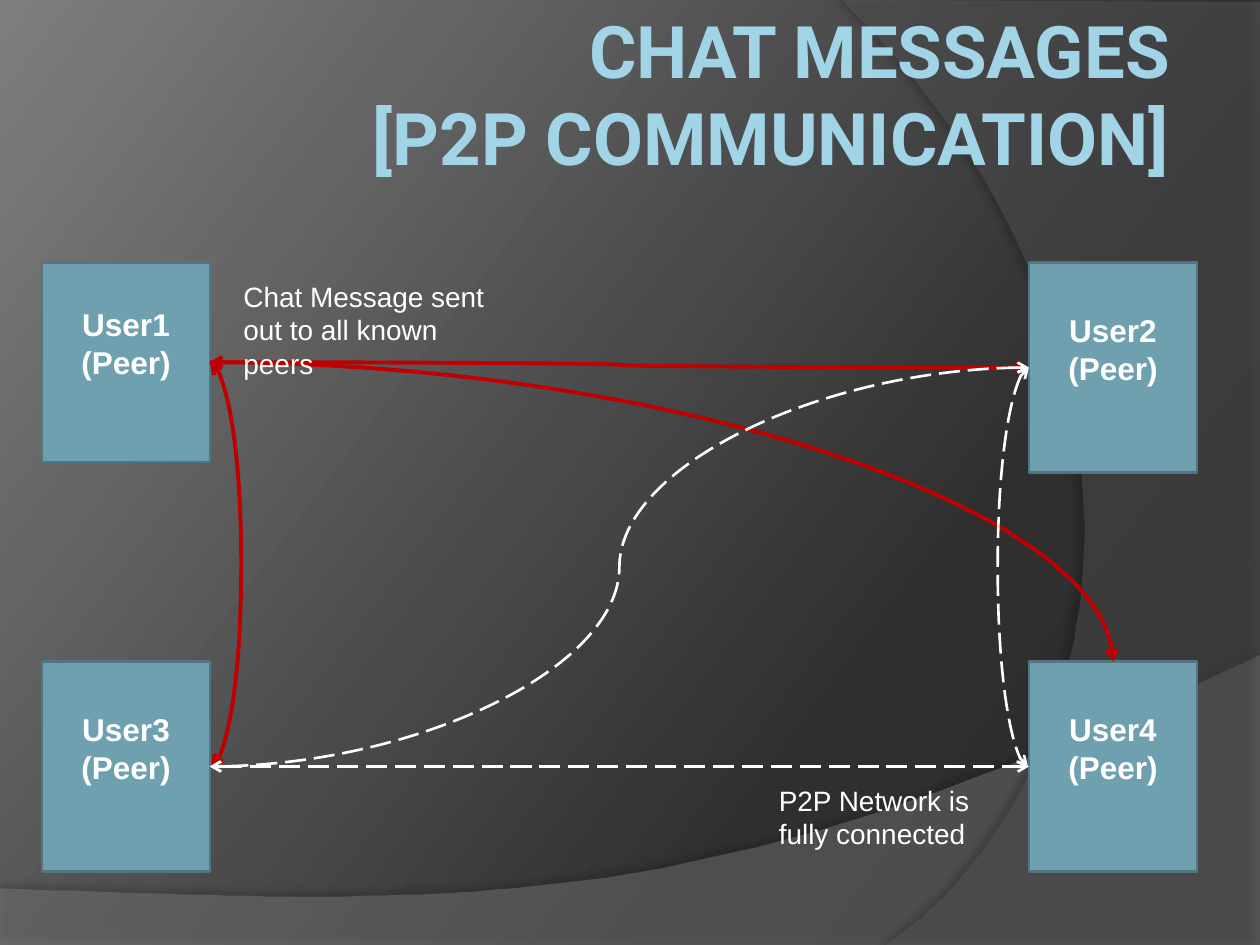
"""Build the chat message slide with four linked peers."""
from dataclasses import dataclass

from lxml import etree
from pptx import Presentation
from pptx.dml.color import RGBColor
from pptx.enum.dml import MSO_LINE
from pptx.enum.shapes import MSO_CONNECTOR, MSO_SHAPE
from pptx.enum.text import MSO_ANCHOR, PP_ALIGN
from pptx.oxml.ns import qn
from pptx.util import Emu, Pt

RECT = MSO_SHAPE.RECTANGLE
CURVE = MSO_CONNECTOR.CURVE
DASH = MSO_LINE.LONG_DASH
TOP, MIDDLE = MSO_ANCHOR.TOP, MSO_ANCHOR.MIDDLE
LEFT, CENTER, RIGHT = PP_ALIGN.LEFT, PP_ALIGN.CENTER, PP_ALIGN.RIGHT
NORTH, WEST, EAST = 0, 1, 3
SCALE = 7620


@dataclass(frozen=True)
class Theme:
    white: str = "FFFFFF"
    black: str = "000000"
    red: str = "C00000"
    box: str = "6EA0B0"
    edge: str = "517682"
    floor: str = "7F7F7F"
    side: str = "5E5E5E"
    back: tuple = ((0, "282828"), (30, "2F2F2F"), (100, "7E7E7E"))
    ink: tuple = ((0, "A1D4E7"), (9, "A1D4E7"), (53, "58808D"),
                  (90, "A1D4E7"), (100, "A1D4E7"))
    body: str = "Arial"
    head: str = "Roboto"
    title: float = 41.4
    name: int = 18
    note: int = 16


def px(num):
    return Emu(round(num * SCALE))


def rgb(code):
    return RGBColor.from_string(code)


def put(item, **vals):
    for key, val in vals.items():
        setattr(item, key, val)


def sub(node, tag, **vals):
    return etree.SubElement(node, qn(tag), {k: str(v) for k, v in vals.items()})


def shade(fill, root, stops, angle):
    fill.gradient()
    fill.gradient_angle = 360 - angle
    group = root.find(".//" + qn("a:gsLst"))
    for old in list(group):
        group.remove(old)
    for pos, code in stops:
        stop = sub(group, "a:gs", pos=pos * 1000)
        sub(stop, "a:srgbClr", val=code)


def bend(start, one, two, end, steps=60):
    points = []
    for step in range(1, steps + 1):
        t = step / steps
        u = 1 - t
        points.append(tuple(
            u**3 * a + 3 * u * u * t * b + 3 * u * t * t * c + t**3 * d
            for a, b, c, d in zip(start, one, two, end)))
    return points


class Deck:
    def __init__(self, theme):
        self.theme = theme
        self.prs = Presentation()
        put(self.prs, slide_width=px(1200), slide_height=px(900))
        self.slide = self.prs.slides.add_slide(self.prs.slide_layouts[6])
        self.shapes = self.slide.shapes
        shade(self.slide.background.fill, self.slide.element, theme.back, 217)

    def wave(self, points, code, alpha, dark, dist, angle):
        pen = self.shapes.build_freeform(*points[0], scale=SCALE)
        pen.add_line_segments(points[1:], close=True)
        shape = pen.convert_to_shape()
        shape.fill.solid()
        shape.fill.fore_color.rgb = rgb(code)
        shape.line.fill.background()
        shape.shadow.inherit = False
        props = shape.element.spPr
        tint = props.find(qn("a:solidFill"))[0]
        sub(tint, "a:alpha", val=alpha * 1000)
        cast = sub(props.find(qn("a:effectLst")), "a:outerShdw", blurRad=Pt(4),
                   dist=Pt(dist), dir=angle * 60000, rotWithShape=0)
        sub(sub(cast, "a:srgbClr", val=self.theme.black), "a:alpha", val=dark * 1000)

    def letter(self, shape, text, size, align=LEFT, font=None, bold=False, **frame):
        words = shape.text_frame
        put(words, word_wrap=True, text=text, **frame)
        for para in words.paragraphs:
            para.alignment = align
            for run in para.runs:
                put(run.font, name=font or self.theme.body, size=Pt(size), bold=bold)
                run.font.color.rgb = rgb(self.theme.white)
        return words

    def label(self, text, box, size, **style):
        shape = self.shapes.add_textbox(*map(px, box))
        return self.letter(shape, text, size, **style)

    def title(self, text, box):
        edge = px(6)
        words = self.label(text, box, self.theme.title, align=RIGHT,
                           font=self.theme.head, bold=True, vertical_anchor=TOP,
                           margin_left=edge, margin_right=edge,
                           margin_top=edge, margin_bottom=edge)
        for run in words.paragraphs[0].runs:
            shade(run.font.fill, run._r, self.theme.ink, 90)

    def peer(self, name, x, y, high):
        shape = self.shapes.add_shape(RECT, *map(px, (x, y, 160, high)))
        shape.shadow.inherit = False
        shape.fill.solid()
        shape.fill.fore_color.rgb = rgb(self.theme.box)
        shape.line.color.rgb = rgb(self.theme.edge)
        shape.line.width = Pt(1.5)
        self.letter(shape, f"{name}\n(Peer)", self.theme.name, align=CENTER, bold=True,
                    vertical_anchor=MIDDLE, margin_bottom=px(42))
        return shape

    def link(self, start, end, code, width, dash=None, ends=("head", "tail"),
             form="curvedConnector3", bulge=0):
        wire = self.shapes.add_connector(CURVE, 0, 0, 0, 0)
        wire.begin_connect(*start)
        wire.end_connect(*end)
        if bulge:
            wire.end_x = wire.begin_x + px(1 if bulge > 0 else -1)
        wire.line.color.rgb = rgb(code)
        put(wire.line, width=Pt(width), dash_style=dash)
        props = wire._element.spPr
        shape = props.find(qn("a:prstGeom"))
        shape.set("prst", form)
        if bulge:
            sub(shape.find(qn("a:avLst")), "a:gd", name="adj1",
                fmla=f"val {abs(bulge) * 100000}")
        for side in ends:
            sub(props.find(qn("a:ln")), f"a:{side}End", type="arrow")
        sub(props, "a:effectLst")


def main():
    theme = Theme()
    deck = Deck(theme)
    floor = [(0, 846), (0, 900), (1200, 900), (1200, 624)]
    floor += bend(floor[-1], (671, 875), (469, 863), floor[0])
    deck.wave(floor, theme.floor, 45, 35, 3.5, 270)
    side = [(1200, 2), (1200, 900), (844, 900)]
    side += bend(side[-1], (1069, 743), (1136, 330), (802, 0))
    deck.wave(side, theme.side, 40, 45, 4, 180)
    deck.title("CHAT MESSAGES\v[P2P COMMUNICATION]", (100, 0, 1020, 150))

    west, east, upper, lower = 40, 980, 250, 630
    one = deck.peer("User1", west, upper, 190)
    two = deck.peer("User2", east, upper, 200)
    four = deck.peer("User4", east, lower, 200)
    three = deck.peer("User3", west, lower, 200)

    sent = {"code": theme.red, "width": 2.25}
    mesh = {"code": theme.white, "width": 1.5, "dash": DASH}
    deck.link((one, EAST), (two, WEST), ends=("tail",), **sent)
    deck.link((one, EAST), (four, NORTH), form="curvedConnector2", **sent)
    deck.link((one, EAST), (three, EAST), bulge=30, **sent)
    deck.link((two, WEST), (three, EAST), **mesh)
    deck.link((two, WEST), (four, WEST), bulge=-30, **mesh)
    deck.link((three, EAST), (four, WEST), **mesh)

    deck.label("Chat Message sent out to all known peers", (220, 260, 270, 77), theme.note)
    deck.label("P2P Network is fully connected", (730, 740, 240, 77), theme.note)
    deck.prs.save("out.pptx")


if __name__ == "__main__":
    main()
